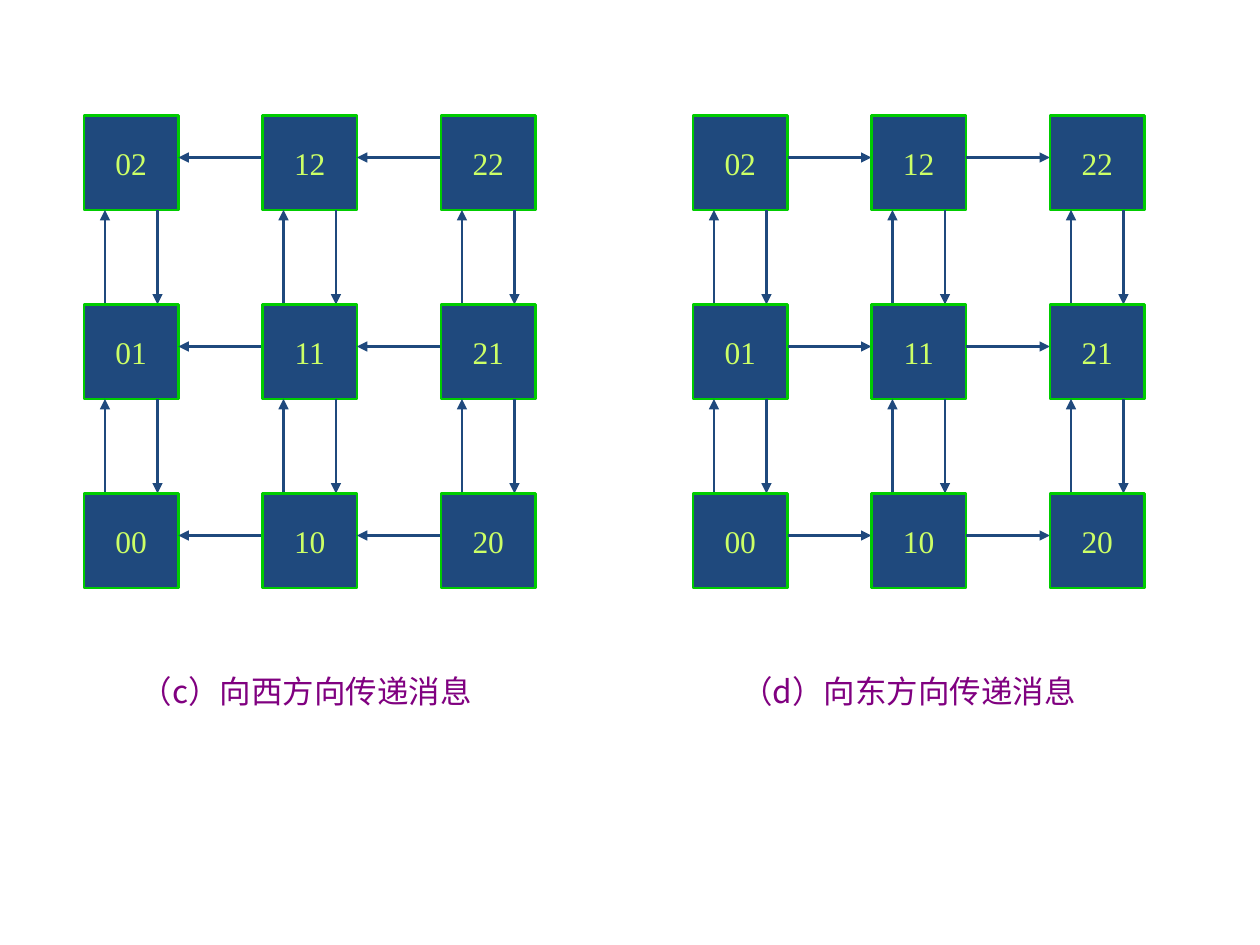
import pptx
import pptx.util
import pptx.dml.color
import pptx.enum.shapes
import pptx.enum.text
import pptx.oxml.ns
import lxml.etree

# Content: each mesh has its left edge, message direction and caption
MESHES = [
    {"left": 80, "direction": "west",
     "caption": "（c）向西方向传递消息", "caption_left": 134},
    {"left": 660, "direction": "east",
     "caption": "（d）向东方向传递消息", "caption_left": 706},
]
NODES = [["02", "12", "22"],
         ["01", "11", "21"],
         ["00", "10", "20"]]

# Layout in px, 120 to the inch
PX = 914400 // 120
TOP, SIDE = 110, 90
PITCH_X, PITCH_Y = 170, 180
ROW_ARROW, UP_ARROW, DOWN_ARROW = 40, 20, 70
CAPTION_TOP, CAPTION_W, CAPTION_H = 640, 342, 36

BLUE, GREEN, LIME, PURPLE = "1F497D", "00CC00", "CCFF66", "800080"
NODE_FONT = {"name": "Times New Roman", "size": pptx.util.Pt(18)}
CAPTION_FONT = {"name": "Noto Sans CJK SC", "size": pptx.util.Pt(18)}
NODE_FRAME = {"word_wrap": False,
              "vertical_anchor": pptx.enum.text.MSO_ANCHOR.MIDDLE}
CAPTION_FRAME = {"word_wrap": True, "margin_left": 0, "margin_right": 0,
                 "margin_top": 0, "margin_bottom": 0,
                 "vertical_anchor": pptx.enum.text.MSO_ANCHOR.MIDDLE}


def px(*values):
    return [pptx.util.Emu(v * PX) for v in values]


def rgb(value):
    return pptx.dml.color.RGBColor.from_string(value)


def apply(target, values):
    for name, value in values.items():
        setattr(target, name, value)


def set_line(line, color):
    line.color.rgb = rgb(color)
    line.width = pptx.util.Pt(1.5)


def write(sp, text, frame, font, color, align):
    tf = sp.text_frame
    apply(tf, frame)
    p = tf.paragraphs[0]
    p.alignment = align
    r = p.add_run()
    r.text = text
    apply(r.font, font)
    r.font.color.rgb = rgb(color)
    ea = lxml.etree.SubElement(r.font._element, pptx.oxml.ns.qn("a:ea"))
    ea.set("typeface", font["name"])


def add_node(slide, x, y, label):
    sp = slide.shapes.add_shape(pptx.enum.shapes.MSO_SHAPE.RECTANGLE,
                                *px(x, y, SIDE, SIDE))
    sp.shadow.inherit = False
    sp.fill.solid()
    sp.fill.fore_color.rgb = rgb(BLUE)
    set_line(sp.line, GREEN)
    write(sp, label, NODE_FRAME, NODE_FONT, LIME,
          pptx.enum.text.PP_ALIGN.CENTER)


def add_arrow(slide, x1, y1, x2, y2):
    cxn = slide.shapes.add_connector(
        pptx.enum.shapes.MSO_CONNECTOR.STRAIGHT, *px(x1, y1, x2, y2))
    set_line(cxn.line, BLUE)
    tail = lxml.etree.SubElement(cxn.line._get_or_add_ln(),
                                 pptx.oxml.ns.qn("a:tailEnd"))
    tail.set("type", "triangle")
    lxml.etree.SubElement(cxn._element.spPr, pptx.oxml.ns.qn("a:effectLst"))


def add_mesh(slide, mesh):
    for row, labels in enumerate(NODES):
        y = TOP + row * PITCH_Y
        for col, label in enumerate(labels):
            x = mesh["left"] + col * PITCH_X
            add_node(slide, x, y, label)
            # Message to or from the node on the right
            if col < len(labels) - 1:
                ends = [x + SIDE, x + PITCH_X]
                if mesh["direction"] == "west":
                    ends.reverse()
                add_arrow(slide, ends[0], y + ROW_ARROW,
                          ends[1], y + ROW_ARROW)
            # Pair of messages with the node below
            if row < len(NODES) - 1:
                upper, lower = y + SIDE, y + PITCH_Y
                add_arrow(slide, x + UP_ARROW, lower, x + UP_ARROW, upper)
                add_arrow(slide, x + DOWN_ARROW, upper, x + DOWN_ARROW, lower)
    # Caption
    sp = slide.shapes.add_textbox(
        *px(mesh["caption_left"], CAPTION_TOP, CAPTION_W, CAPTION_H))
    write(sp, mesh["caption"], CAPTION_FRAME, CAPTION_FONT, PURPLE,
          pptx.enum.text.PP_ALIGN.LEFT)


def main():
    prs = pptx.Presentation()
    prs.slide_width, prs.slide_height = px(1200, 900)
    slide = prs.slides.add_slide(prs.slide_layouts[6])
    for mesh in MESHES:
        add_mesh(slide, mesh)
    prs.save("out.pptx")


if __name__ == "__main__":
    main()
